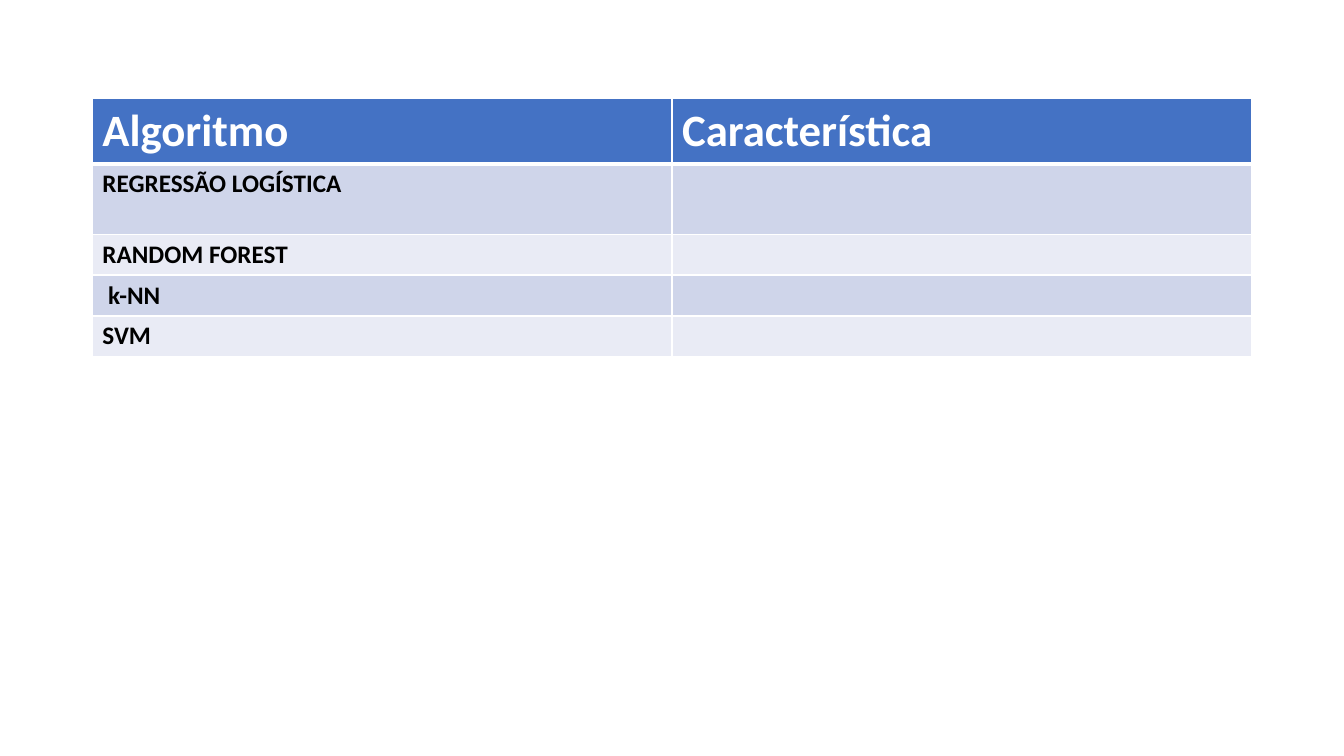
from dataclasses import dataclass

from lxml import etree
from pptx import Presentation
from pptx.dml.color import RGBColor
from pptx.oxml.ns import qn
from pptx.util import Emu, Pt

PX = 9525
BLANK_LAYOUT = 6


@dataclass(frozen=True)
class Theme:
    font: str = "Calibri"
    header_size: int = 32
    body_size: int = 18
    header_fill: str = "4472C4"
    header_text: str = "FFFFFF"
    body_text: str = "000000"
    band_fills: tuple = ("CFD5EA", "E9EBF5")
    border: str = "FFFFFF"
    border_width: int = 1
    header_rule_width: int = 3


THEME = Theme()
HEADERS = ("Algoritmo", "Característica")
ALGORITHMS = ("REGRESSÃO LOGÍSTICA", "RANDOM FOREST", " k-NN", "SVM")
ROW_HEIGHTS = (62, 67, 39, 39, 39)


def px(length):
    return Emu(length * PX)


def set_borders(cell, top_width, bottom_width):
    properties = cell._tc.get_or_add_tcPr()
    widths = {
        "a:lnL": THEME.border_width,
        "a:lnR": THEME.border_width,
        "a:lnT": top_width,
        "a:lnB": bottom_width,
    }
    for tag, width in widths.items():
        line = etree.SubElement(properties, qn(tag), w=str(Pt(width)))
        fill = etree.SubElement(line, qn("a:solidFill"))
        etree.SubElement(fill, qn("a:srgbClr"), val=THEME.border)


def format_cell(cell, text, size, color, fill):
    cell.fill.solid()
    cell.fill.fore_color.rgb = RGBColor.from_string(fill)
    if not text:
        return
    cell.text_frame.text = text
    for run in cell.text_frame.paragraphs[0].runs:
        run.font.name = THEME.font
        run.font.size = Pt(size)
        run.font.bold = True
        run.font.color.rgb = RGBColor.from_string(color)


def add_algorithm_table(slide, left, top, width):
    rows = [HEADERS] + [(name, "") for name in ALGORITHMS]
    frame = slide.shapes.add_table(
        len(rows), len(HEADERS), px(left), px(top), px(width), px(sum(ROW_HEIGHTS))
    )
    table = frame.table
    for column in table.columns:
        column.width = px(width // len(HEADERS))
    for row_index, texts in enumerate(rows):
        table.rows[row_index].height = px(ROW_HEIGHTS[row_index])
        is_header = row_index == 0
        top_width = THEME.header_rule_width if row_index == 1 else THEME.border_width
        bottom_width = THEME.header_rule_width if is_header else THEME.border_width
        if is_header:
            style = (THEME.header_size, THEME.header_text, THEME.header_fill)
        else:
            band_fill = THEME.band_fills[(row_index - 1) % len(THEME.band_fills)]
            style = (THEME.body_size, THEME.body_text, band_fill)
        for column_index, text in enumerate(texts):
            cell = table.cell(row_index, column_index)
            set_borders(cell, top_width, bottom_width)
            format_cell(cell, text, *style)


def main():
    presentation = Presentation()
    presentation.slide_width = px(1280)
    presentation.slide_height = px(720)
    slide = presentation.slides.add_slide(presentation.slide_layouts[BLANK_LAYOUT])
    add_algorithm_table(slide, 88, 94, 1104)
    presentation.save("out.pptx")


if __name__ == "__main__":
    main()
